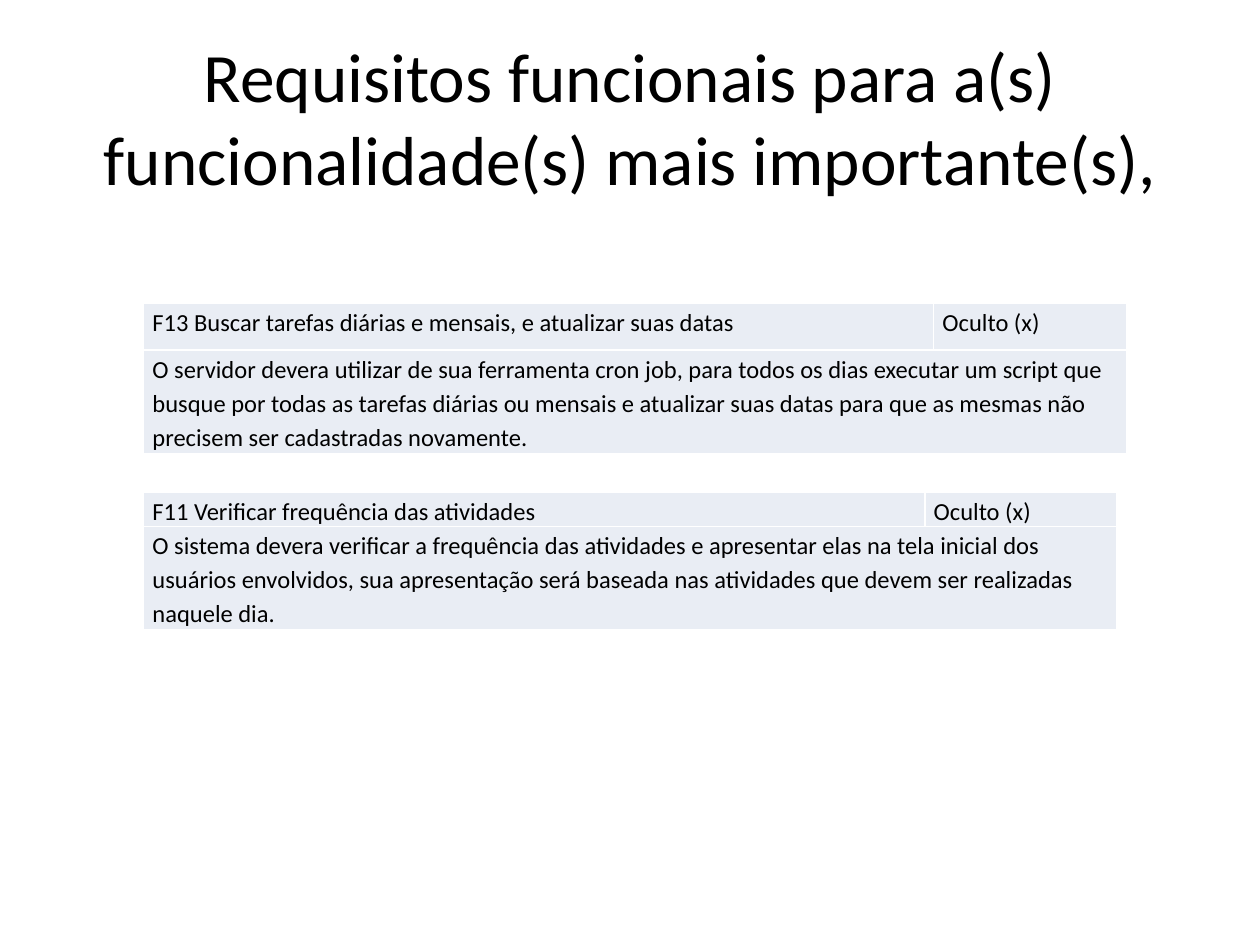
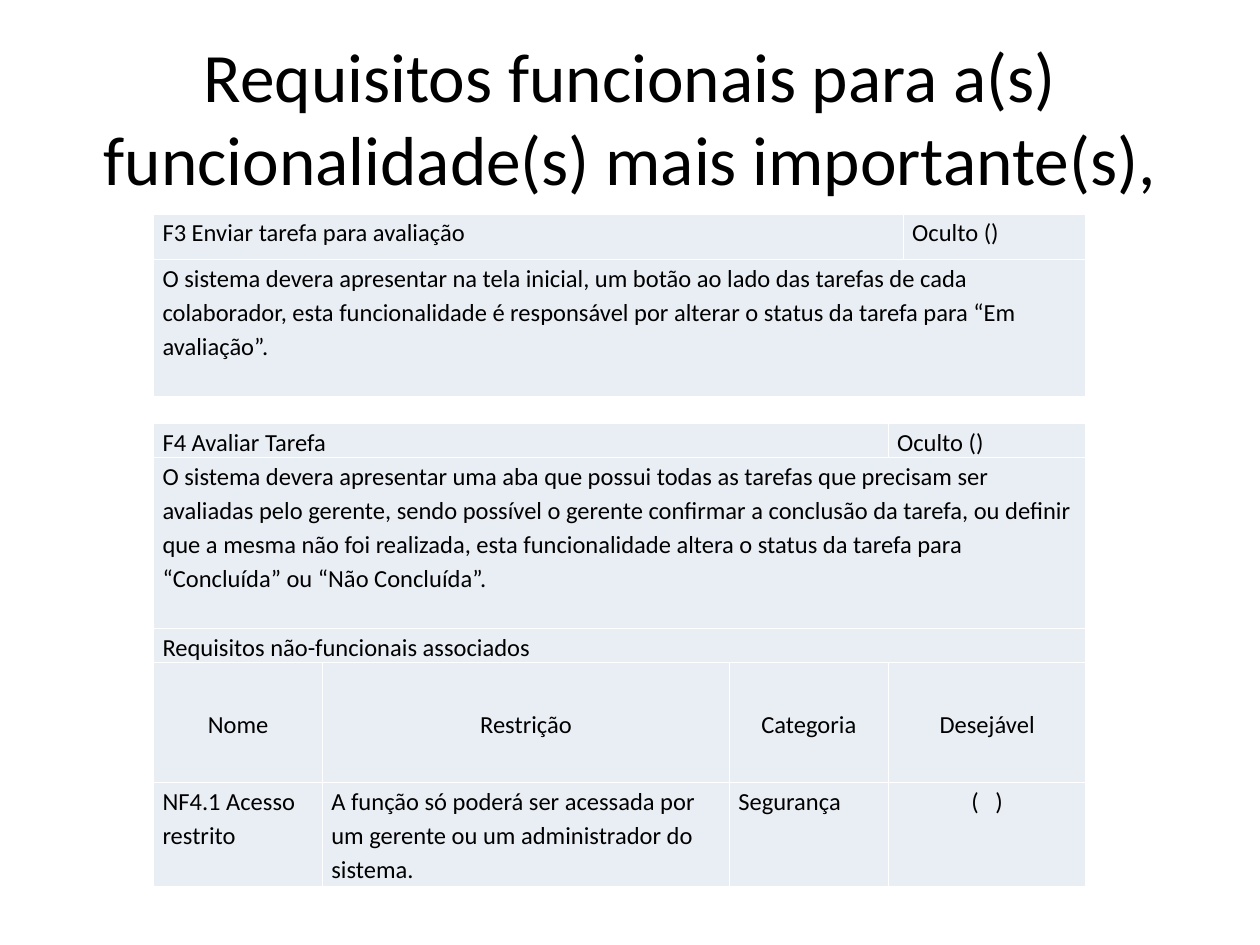
from lxml import etree
from pptx import Presentation
from pptx.dml.color import RGBColor
from pptx.enum import text
from pptx.oxml import ns
from pptx.util import Inches, Pt

COLORS = {"ink": "000000", "cell": "E9EDF4", "border": "FFFFFF"}
FONT = "Calibri"
TITLE = "Requisitos funcionais\u00a0para a(s) funcionalidade(s) mais importante(s),"
CENTER = text.PP_ALIGN.CENTER
MIDDLE = text.MSO_ANCHOR.MIDDLE


def style_paragraph(para, size):
    para.font.name = FONT
    para.font.size = Pt(size)
    para.font.color.rgb = RGBColor.from_string(COLORS["ink"])


def add_requirement(page, left, top, widths, heights, rows):
    """Draw a table; a None entry extends the cell on its left."""
    frame = page.shapes.add_table(len(heights), len(widths), Inches(left), Inches(top),
                                  Inches(sum(widths)), Inches(sum(heights)))
    table = frame.table
    table.first_row = table.horz_banding = False
    for column, width in zip(table.columns, widths):
        column.width = Inches(width)
    for row, height in zip(table.rows, heights):
        row.height = Inches(height)
    for r, row in enumerate(rows):
        start = 0
        for c, words in enumerate(row):
            cell = table.cell(r, c)
            cell.margin_left = cell.margin_right = Inches(0.07)
            cell.margin_top = cell.margin_bottom = 0
            properties = cell._tc.get_or_add_tcPr()
            for side in ("lnL", "lnR", "lnT", "lnB"):
                line = etree.SubElement(properties, ns.qn(f"a:{side}"), w=str(Pt(1)))
                fill = etree.SubElement(line, ns.qn("a:solidFill"))
                etree.SubElement(fill, ns.qn("a:srgbClr"), val=COLORS["border"])
            cell.fill.solid()
            cell.fill.fore_color.rgb = RGBColor.from_string(COLORS["cell"])
            cell.text = words or ""
            para = cell.text_frame.paragraphs[0]
            para.line_spacing = 1.15
            style_paragraph(para, 14)
            if words:
                start = c
            if words is None and (c + 1 == len(row) or row[c + 1]):
                table.cell(r, start).merge(cell)
    return table


deck = Presentation()
deck.slide_width, deck.slide_height = Inches(10), Inches(7.5)
pages = []
for _ in range(2):
    page = deck.slides.add_slide(deck.slide_layouts[6])
    box = page.shapes.add_textbox(Inches(0.5), Inches(0.3), Inches(9), Inches(1.25))
    box.text_frame.word_wrap = True
    box.text_frame.vertical_anchor = MIDDLE
    title = box.text_frame.paragraphs[0]
    title.text = TITLE
    title.alignment = CENTER
    style_paragraph(title, 39.6)
    pages.append(page)

# Slide 1: hidden requirements
add_requirement(pages[0], 1.14, 3.91, [6.2, 1.52], [0.27, 0.82], [
    ["F11 Verificar frequência das atividades", "Oculto (x)"],
    ["O sistema devera verificar a frequência das atividades e apresentar elas na tela "
     "inicial dos usuários envolvidos, sua apresentação será baseada nas atividades que "
     "devem ser realizadas naquele dia.", None],
])
add_requirement(pages[0], 1.14, 2.41, [6.27, 1.53], [0.37, 0.82], [
    ["F13 Buscar tarefas diárias e mensais, e atualizar suas datas", "Oculto (x)"],
    ["O servidor devera utilizar de sua ferramenta cron job, para todos os dias executar "
     "um script que busque por todas as tarefas diárias ou mensais e atualizar suas datas "
     "para que as mesmas não precisem ser cadastradas novamente.", None],
])

# Slide 2: visible requirements
add_requirement(pages[1], 1.22, 1.7, [5.95, 1.45], [0.36, 1.09], [
    ["F3 Enviar tarefa para avaliação", "Oculto ()"],
    ["O sistema devera apresentar na tela inicial, um botão ao lado das tarefas de cada "
     "colaborador, esta funcionalidade é responsável por alterar o status da tarefa para "
     "“Em avaliação”.", None],
])
evaluation = add_requirement(
    pages[1], 1.22, 3.36, [1.34, 3.23, 1.26, 1.57], [0.27, 1.36, 0.27, 0.95, 0.83], [
        ["F4 Avaliar Tarefa", None, None, "Oculto ()"],
        ["O sistema devera apresentar uma aba que possui todas as tarefas que precisam ser "
         "avaliadas pelo gerente, sendo possível o gerente confirmar a conclusão da tarefa, "
         "ou definir que a mesma não foi realizada, esta funcionalidade altera o status da "
         "tarefa para “Concluída” ou “Não Concluída”.", None, None, None],
        ["Requisitos não-funcionais associados", None, None, None],
        ["Nome", "Restrição", "Categoria", "Desejável"],
        ["NF4.1 Acesso restrito",
         "A função só poderá ser acessada por um gerente ou um administrador do sistema.",
         "Segurança", "(   )"],
    ])
for column in range(4):
    heading = evaluation.cell(3, column)
    heading.vertical_anchor = MIDDLE
    heading.text_frame.paragraphs[0].alignment = CENTER
evaluation.cell(4, 3).text_frame.paragraphs[0].alignment = CENTER

deck.save("out.pptx")
